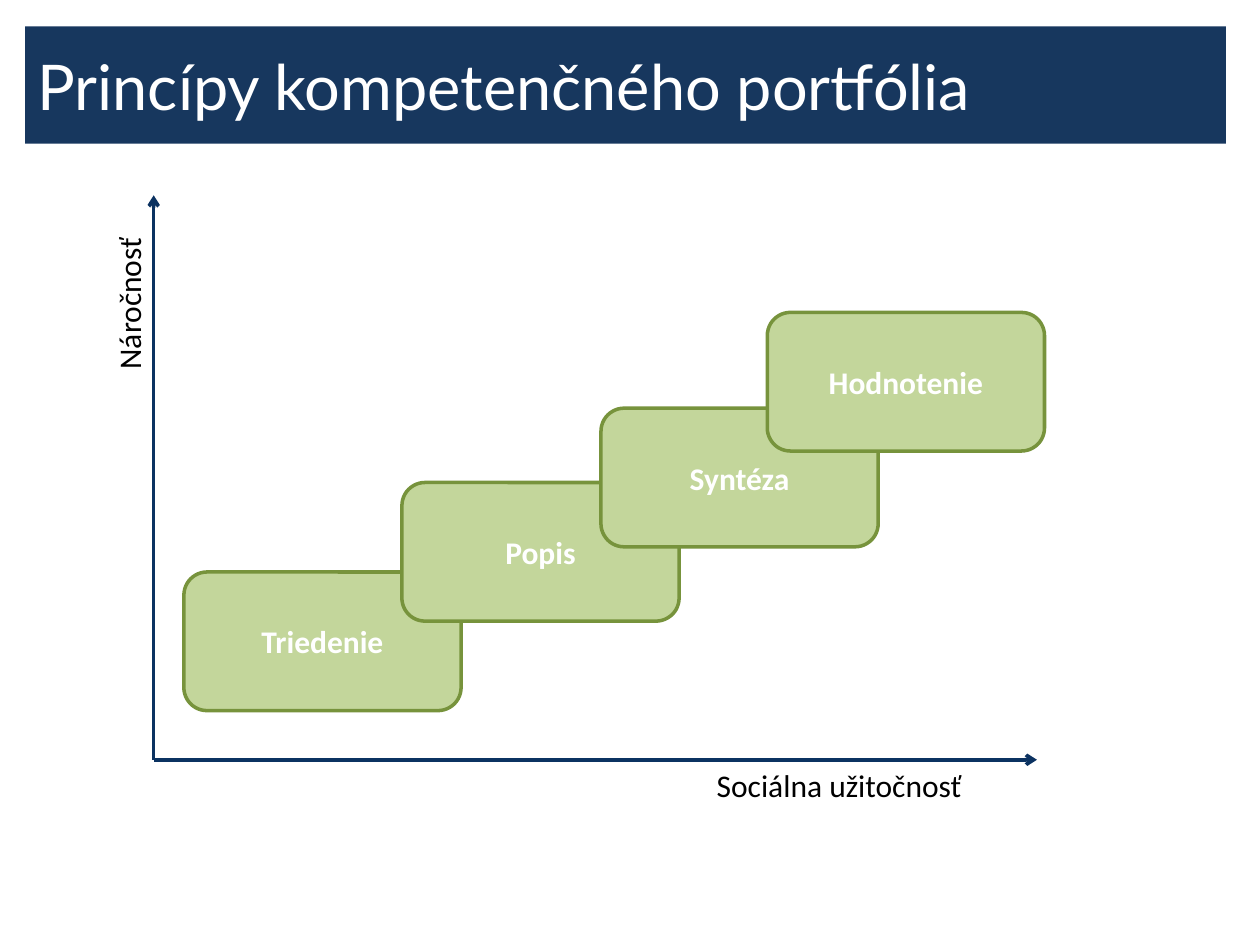
from dataclasses import dataclass

from lxml import etree
from pptx import Presentation
from pptx.dml.color import RGBColor
from pptx.enum.shapes import MSO_CONNECTOR, MSO_SHAPE
from pptx.enum.text import MSO_ANCHOR, MSO_AUTO_SIZE, PP_ALIGN
from pptx.oxml.ns import qn
from pptx.util import Inches, Pt

STRAIGHT = MSO_CONNECTOR.STRAIGHT
RECTANGLE = MSO_SHAPE.RECTANGLE
ROUNDED = MSO_SHAPE.ROUNDED_RECTANGLE
MIDDLE = MSO_ANCHOR.MIDDLE
FIT_SHAPE = MSO_AUTO_SIZE.SHAPE_TO_FIT_TEXT
LEFT, CENTER = PP_ALIGN.LEFT, PP_ALIGN.CENTER

# Slide size and chart geometry, in inches
WIDTH, HEIGHT = 10, 7.5
ORIGIN = (1.22, 6.03)
AXIS_TOP, AXIS_RIGHT = 1.55, 8.23
STEP_SIZE = (2.2, 1.1)
LABEL_HEIGHT = 0.4
STEPS = [
    ("Triedenie", 1.46, 4.54),
    ("Popis", 3.19, 3.83),
    ("Syntéza", 4.77, 3.24),
    ("Hodnotenie", 6.09, 2.48),
]


@dataclass(frozen=True)
class Theme:
    banner: str = "17375E"
    axis: str = "0B3261"
    step_fill: str = "C3D69B"
    step_line: str = "77933C"
    light: str = "FFFFFF"
    dark: str = "000000"
    title_font: str = "Lato"
    body_font: str = "Calibri"
    title_size: int = 36
    body_size: int = 18
    line_width: int = 2


THEME = Theme()


def color(value):
    return RGBColor.from_string(value)


def write(box, text, font_name, size, ink, align=LEFT, bold=False):
    para = box.text_frame.paragraphs[0]
    para.text = text
    para.alignment = align
    font = para.font
    font.name, font.size, font.bold = font_name, Pt(size), bold
    font.color.rgb = color(ink)


def add_axis(page, end):
    line = page.shapes.add_connector(STRAIGHT, *map(Inches, ORIGIN + end))
    line.line.color.rgb = color(THEME.axis)
    line.line.width = Pt(THEME.line_width)
    etree.SubElement(line.line._get_or_add_ln(), qn("a:tailEnd"), type="arrow")
    etree.SubElement(line._element.spPr, qn("a:effectLst"))


def add_label(page, text, left, top, width, rotation=0):
    box = page.shapes.add_textbox(*map(Inches, (left, top, width, LABEL_HEIGHT)))
    box.rotation = rotation
    box.text_frame.word_wrap = False
    box.text_frame.auto_size = FIT_SHAPE
    write(box, text, THEME.body_font, THEME.body_size, THEME.dark)


def add_panel(page, kind, place, fill, outline=None):
    panel = page.shapes.add_shape(kind, *map(Inches, place))
    panel.shadow.inherit = False
    panel.fill.solid()
    panel.fill.fore_color.rgb = color(fill)
    if outline:
        panel.line.color.rgb = color(outline)
        panel.line.width = Pt(THEME.line_width)
    else:
        panel.line.fill.background()
    panel.text_frame.word_wrap = True
    panel.text_frame.vertical_anchor = MIDDLE
    return panel


def add_step(page, text, left, top):
    step = add_panel(page, ROUNDED, (left, top, *STEP_SIZE),
                     THEME.step_fill, THEME.step_line)
    write(step, text, THEME.body_font, THEME.body_size, THEME.light, CENTER, True)


def add_title(page, text):
    banner = add_panel(page, RECTANGLE, (0.2, 0.21, 9.53, 0.93), THEME.banner)
    write(banner, text, THEME.title_font, THEME.title_size, THEME.light)


def main():
    deck = Presentation()
    deck.slide_width, deck.slide_height = Inches(WIDTH), Inches(HEIGHT)
    page = deck.slides.add_slide(deck.slide_layouts[6])

    # Axes with their labels
    add_axis(page, (ORIGIN[0], AXIS_TOP))
    add_axis(page, (AXIS_RIGHT, ORIGIN[1]))
    add_label(page, "Náročnosť", 0.28, 2.09, 1.48, rotation=270)
    add_label(page, "Sociálna užitočnosť", 5.59, ORIGIN[1], 2.64)

    # Rising steps, each overlapping the one before
    for step in STEPS:
        add_step(page, *step)

    # Title banner
    add_title(page, "Princípy kompetenčného portfólia")
    deck.save("out.pptx")


if __name__ == "__main__":
    main()
